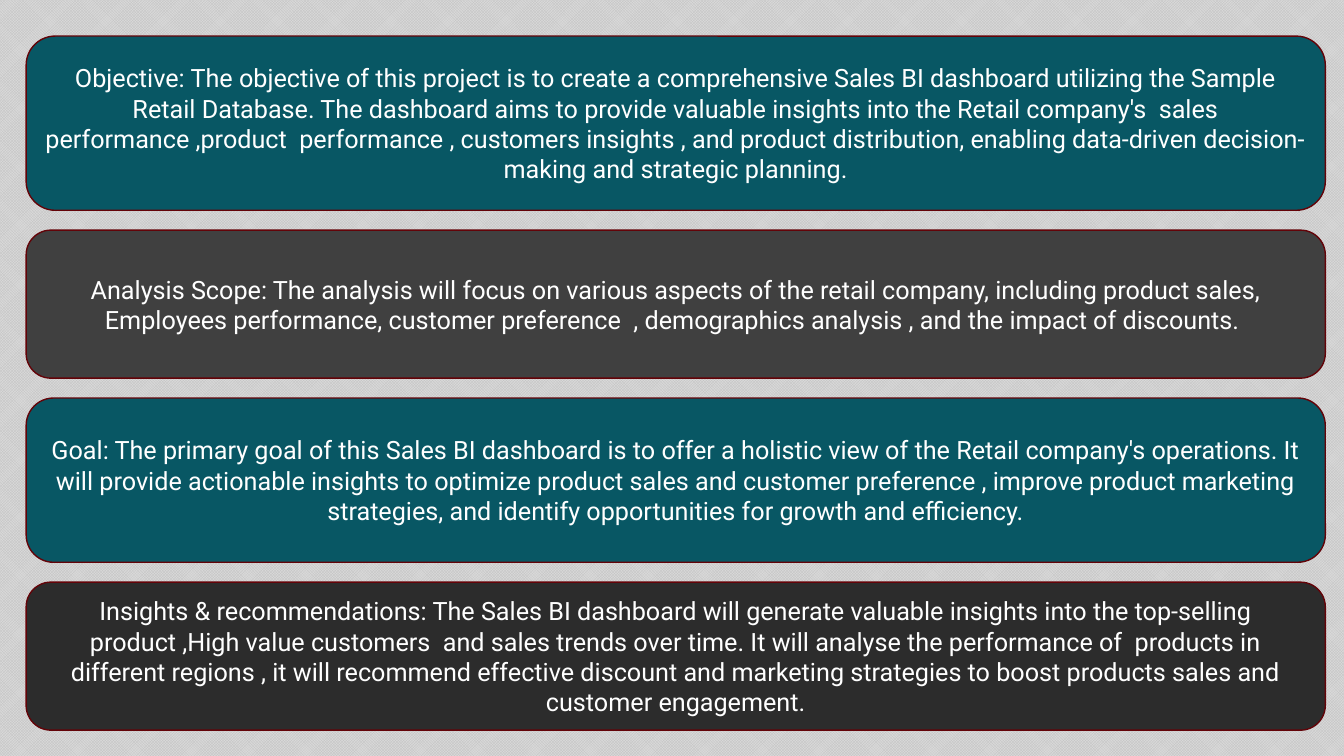
from dataclasses import dataclass

from pptx import Presentation
from pptx.dml.color import RGBColor as Rgb
from pptx.enum.dml import MSO_PATTERN as Pattern
from pptx.enum.shapes import MSO_SHAPE as Shape
from pptx.enum.text import MSO_ANCHOR as Anchor, PP_ALIGN as Align
from pptx.util import Cm, Pt


@dataclass(frozen=True)
class Theme:
    teal: Rgb = Rgb.from_string("085764")
    grey: Rgb = Rgb.from_string("404040")
    charcoal: Rgb = Rgb.from_string("2C2C2C")
    outline: Rgb = Rgb.from_string("630308")
    text: Rgb = Rgb.from_string("FFFFFF")
    check_dark: Rgb = Rgb.from_string("BFBFBF")
    check_light: Rgb = Rgb.from_string("D9D9D9")
    font: str = "Roboto"
    body_size: Pt = Pt(18)
    outline_width: Pt = Pt(1)


THEME = Theme()

# Layout of the stacked panels, in centimetres
LEFT, TOP, WIDTH, GAP = 0.66, 0.91, 32.74, 0.5

# Height in centimetres, fill colour and wording of each panel
PANELS = [
    (4.39, THEME.teal,
     "Objective: The objective of this project is to create a comprehensive "
     "Sales BI dashboard utilizing the Sample Retail Database. The dashboard "
     "aims to provide valuable insights into the Retail company's  sales "
     "performance ,product  performance , customers insights , and product "
     "distribution, enabling data-driven decision-making and strategic planning."),
    (3.73, THEME.grey,
     "Analysis Scope: The analysis will focus on various aspects of the retail "
     "company, including product sales, Employees performance, customer "
     "preference  , demographics analysis , and the impact of discounts. "),
    (4.14, THEME.teal,
     "Goal: The primary goal of this Sales BI dashboard is to offer a holistic "
     "view of the Retail company's operations. It will provide actionable "
     "insights to optimize product sales and customer preference , improve "
     "product marketing strategies, and identify opportunities for growth and "
     "efficiency."),
    (3.73, THEME.charcoal,
     "Insights & recommendations: The Sales BI dashboard will generate valuable "
     "insights into the top-selling product ,High value customers  and sales "
     "trends over time. It will analyse the performance of  products in "
     "different regions , it will recommend effective discount and marketing "
     "strategies to boost products sales and customer engagement."),
]


def apply_format(target, values):
    for name, value in values.items():
        setattr(target, name, value)


def paint_background(page):
    fill = page.background.fill
    fill.patterned()
    fill.pattern = Pattern.SMALL_CHECKER_BOARD
    fill.fore_color.rgb = THEME.check_dark
    fill.back_color.rgb = THEME.check_light


def write_text(box, text):
    frame = box.text_frame
    apply_format(frame, {"word_wrap": True, "vertical_anchor": Anchor.MIDDLE})
    para = frame.paragraphs[0]
    para.alignment = Align.CENTER
    span = para.add_run()
    span.text = text
    apply_format(span.font, {"name": THEME.font, "size": THEME.body_size})
    span.font.color.rgb = THEME.text


def add_panel(page, top, height, color, text):
    box = page.shapes.add_shape(
        Shape.ROUNDED_RECTANGLE, Cm(LEFT), Cm(top), Cm(WIDTH), Cm(height))
    box.shadow.inherit = False
    box.fill.solid()
    box.fill.fore_color.rgb = color
    box.line.color.rgb = THEME.outline
    box.line.width = THEME.outline_width
    write_text(box, text)


def main():
    deck = Presentation()
    apply_format(deck, {"slide_width": Cm(33.87), "slide_height": Cm(19.05)})
    page = deck.slides.add_slide(deck.slide_layouts[6])
    paint_background(page)

    # Panels from top to bottom
    top = TOP
    for height, color, text in PANELS:
        add_panel(page, top, height, color, text)
        top += height + GAP

    deck.save("out.pptx")


if __name__ == "__main__":
    main()
